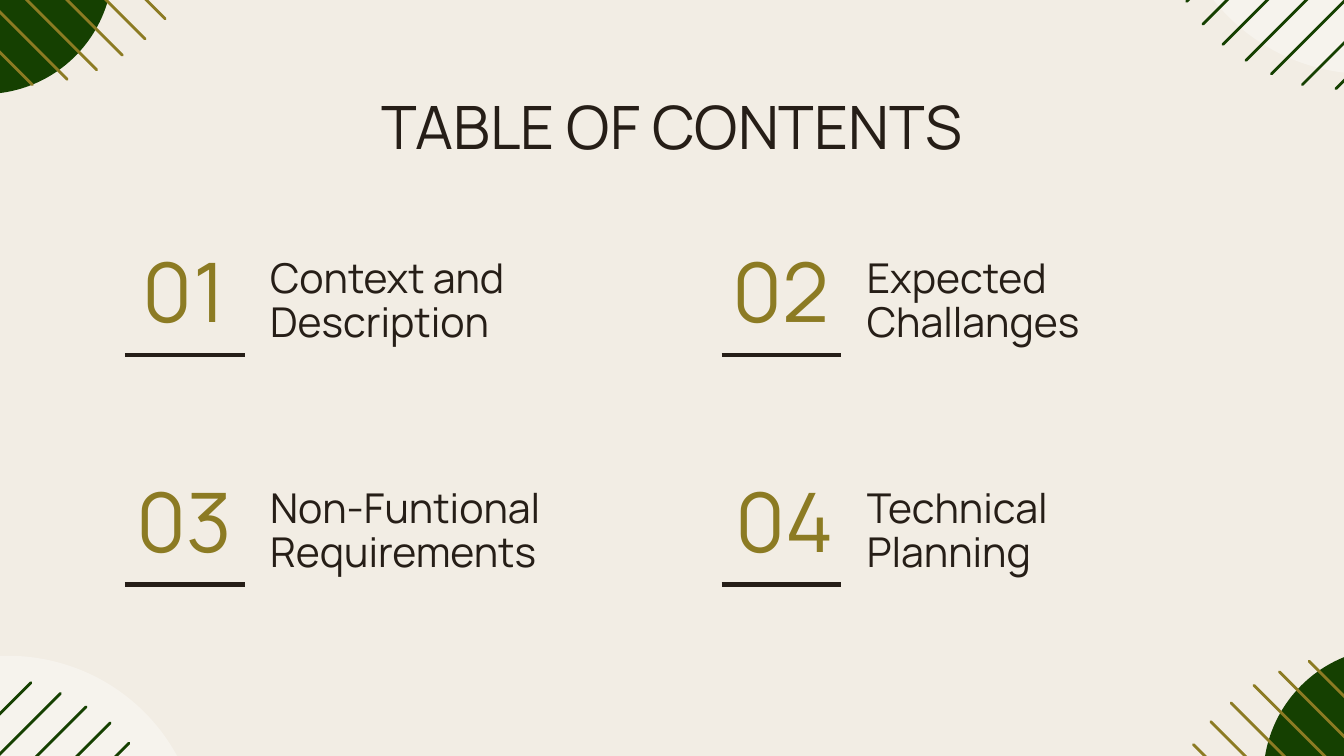
from dataclasses import dataclass

from lxml import etree
from pptx import Presentation
from pptx.dml.color import RGBColor
from pptx.enum.shapes import MSO_CONNECTOR, MSO_SHAPE
from pptx.enum.text import MSO_ANCHOR, MSO_AUTO_SIZE, PP_ALIGN
from pptx.oxml.ns import qn
from pptx.util import Inches, Pt

OVAL = MSO_SHAPE.OVAL
STRAIGHT = MSO_CONNECTOR.STRAIGHT
TOP, MIDDLE = MSO_ANCHOR.TOP, MSO_ANCHOR.MIDDLE
LEFT, CENTER = PP_ALIGN.LEFT, PP_ALIGN.CENTER
NO_AUTOFIT = MSO_AUTO_SIZE.NONE
COMPARISON_LAYOUT = 4


@dataclass(frozen=True)
class Theme:
    """Colours, font and type sizes of the deck."""

    font: str = "Manrope"
    paper: str = "F2EDE4"
    ink: str = "261E17"
    olive: str = "8C7B23"
    forest: str = "154001"
    white: str = "FFFFFF"
    title_size: int = 32
    number_size: int = 44
    label_size: int = 22
    rule_width: float = 2.25
    stripe_width: float = 1.5


@dataclass(frozen=True)
class Corner:
    """A disc and the diagonal stripes running over it, given as (tip x, tip y, run)."""

    disc: tuple
    disc_color: str
    opacity: int
    stripe_color: str
    direction: tuple
    stripes: tuple


THEME = Theme()
CORNERS = (
    Corner((-1.37, 4.88, 2.86, 2.84), THEME.white, 36, THEME.forest, (-1, 1),
           ((0.96, 5.53, 1.98), (0.82, 5.38, 2.04), (0.64, 5.26, 1.92),
            (0.45, 5.16, 1.85), (0.23, 5.08, 1.71))),
    Corner((8.72, -2.33, 2.9, 2.88), THEME.white, 36, THEME.forest, (1, -1),
           ((8.83, 0.01, 1.95), (8.95, 0.18, 2.01), (9.1, 0.33, 2.06),
            (9.27, 0.45, 2), (9.46, 0.55, 1.86), (9.69, 0.63, 1.71),
            (9.94, 0.66, 1.49))),
    Corner((9.4, 4.82, 1.92, 1.92), THEME.forest, 100, THEME.olive, (1, 1),
           ((8.88, 5.54, 1.95), (9.01, 5.37, 2), (9.16, 5.23, 2.05),
            (9.33, 5.1, 2.01), (9.52, 5, 1.86), (9.74, 4.92, 1.71))),
    Corner((-1.08, -1.22, 1.92, 1.92), THEME.forest, 100, THEME.olive, (-1, -1),
           ((1.23, 0.14, 2), (1.08, 0.29, 2.11), (0.91, 0.41, 2.03),
            (0.72, 0.52, 1.86), (0.5, 0.59, 1.71), (0.24, 0.63, 1.49))),
)
TOPICS = ("Context and Description", "Expected Challanges",
          "Non-Funtional Requirements", "Technical Planning")
COLUMN_LEFTS = (0.93, 5.37)
ROW_TOPS = (1.82, 3.53)


def color(code):
    """Turn a hex code into an RGB colour."""
    return RGBColor.from_string(code)


def place(shape, left, top, width, height):
    """Move and size a shape, in inches."""
    shape.left, shape.top = Inches(left), Inches(top)
    shape.width, shape.height = Inches(width), Inches(height)


def write(box, text, size, ink, align=LEFT, anchor=TOP, spacing=1.0):
    """Fill a box with one plain paragraph without a bullet."""
    frame = box.text_frame
    frame.word_wrap = True
    frame.auto_size = NO_AUTOFIT
    frame.vertical_anchor = anchor
    frame.margin_left = frame.margin_right = Inches(0.1)
    frame.margin_top = frame.margin_bottom = Inches(0.1)
    para = frame.paragraphs[0]
    para.alignment = align
    para.line_spacing = spacing
    para.space_before = para.space_after = Pt(0)
    properties = para._p.get_or_add_pPr()
    properties.set("marL", "0")
    properties.set("indent", "0")
    etree.SubElement(properties, qn("a:buNone"))
    span = para.add_run()
    span.text = text
    span.font.name = THEME.font
    span.font.size = Pt(size)
    span.font.bold = False
    span.font.color.rgb = color(ink)


def add_rule(page, left, top, width):
    """Draw a horizontal rule without a shadow."""
    rule = page.shapes.add_connector(
        STRAIGHT, *map(Inches, (left, top, left + width, top)))
    rule.line.color.rgb = color(THEME.ink)
    rule.line.width = Pt(THEME.rule_width)
    etree.SubElement(rule._element.spPr, qn("a:effectLst"))


def add_stripe(page, start, end, ink):
    """Draw a round-ended diagonal outline."""
    builder = page.shapes.build_freeform(*map(Inches, start))
    builder.add_line_segments([tuple(map(Inches, end))], close=False)
    stripe = builder.convert_to_shape()
    stripe.shadow.inherit = False
    stripe.fill.background()
    stripe.line.color.rgb = color(ink)
    stripe.line.width = Pt(THEME.stripe_width)
    stripe._element.spPr.find(qn("a:ln")).set("cap", "rnd")


def add_disc(page, bounds, fill, opacity):
    """Draw a borderless disc with the given opacity in percent."""
    disc = page.shapes.add_shape(OVAL, *map(Inches, bounds))
    disc.shadow.inherit = False
    disc.line.fill.background()
    disc.fill.solid()
    disc.fill.fore_color.rgb = color(fill)
    if opacity < 100:
        tone = disc._element.spPr.find(".//" + qn("a:srgbClr"))
        etree.SubElement(tone, qn("a:alpha"), val=str(opacity * 1000))


def add_corner(page, corner):
    """Draw a corner's disc and stripes."""
    add_disc(page, corner.disc, corner.disc_color, corner.opacity)
    across, down = corner.direction
    for x, y, run in corner.stripes:
        add_stripe(page, (x, y), (x + across * run, y + down * run),
                   corner.stripe_color)


def add_topic(page, label, number, topic, left, top):
    """Set one numbered topic with the rule under its number."""
    place(label, left + 0.98, top, 2.75, 0.86)
    write(label, topic, THEME.label_size, THEME.ink, spacing=0.9)
    width = 1.02 if number == len(TOPICS) else 0.96
    box = page.shapes.add_textbox(*map(Inches, (left - 0.04, top, width, 0.67)))
    write(box, f"{number:02}", THEME.number_size, THEME.olive, CENTER, MIDDLE)
    add_rule(page, left, top + 0.82, 0.89)


def main():
    """Build the contents page and save the deck."""
    deck = Presentation()
    deck.slide_width = Inches(10)
    deck.slide_height = deck.slide_width * 9 // 16
    page = deck.slides.add_slide(deck.slide_layouts[COMPARISON_LAYOUT])
    page.background.fill.solid()
    page.background.fill.fore_color.rgb = color(THEME.paper)
    title, *labels = page.placeholders

    for corner in CORNERS:
        add_corner(page, corner)
    place(title, 0.78, 0.57, 8.44, 0.77)
    write(title, "TABLE OF CONTENTS", THEME.title_size, THEME.ink, CENTER)
    for index, (label, topic) in enumerate(zip(labels, TOPICS)):
        row, column = divmod(index, len(COLUMN_LEFTS))
        add_topic(page, label, index + 1, topic,
                  COLUMN_LEFTS[column], ROW_TOPS[row])
    deck.save("out.pptx")


if __name__ == "__main__":
    main()
